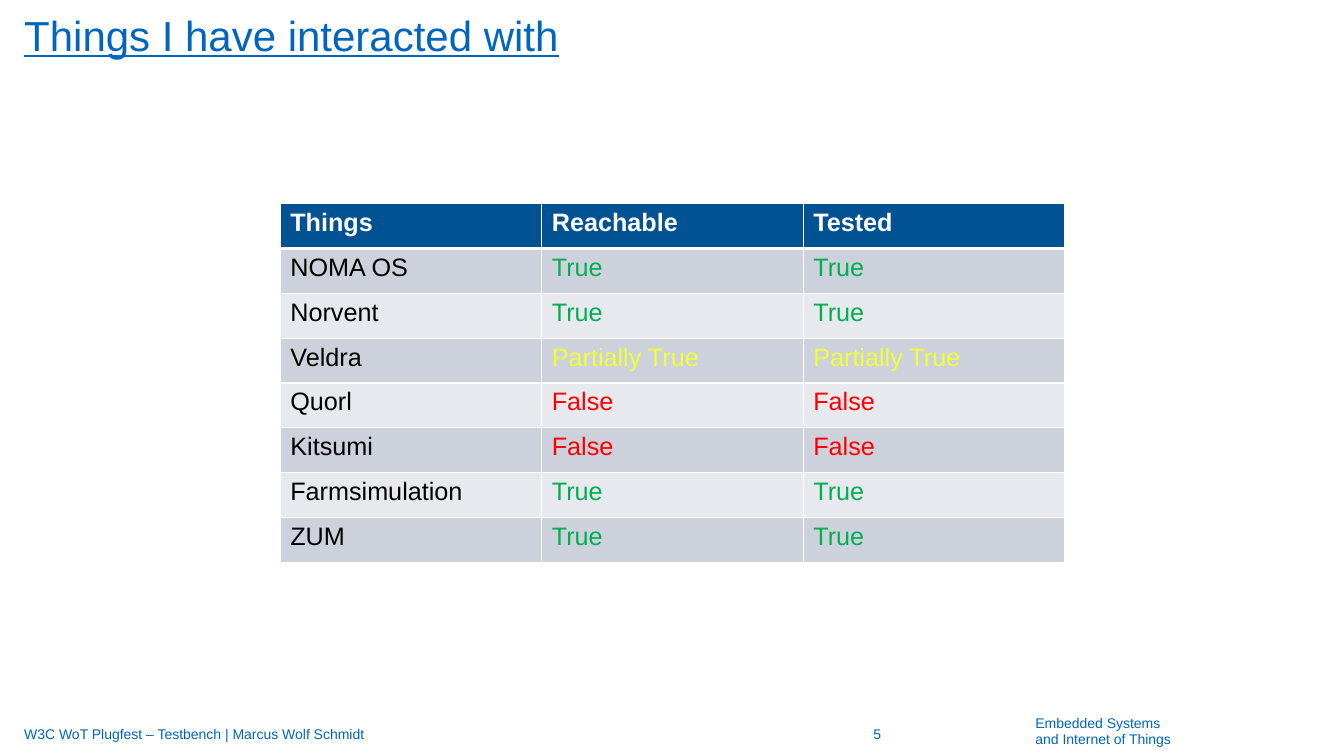
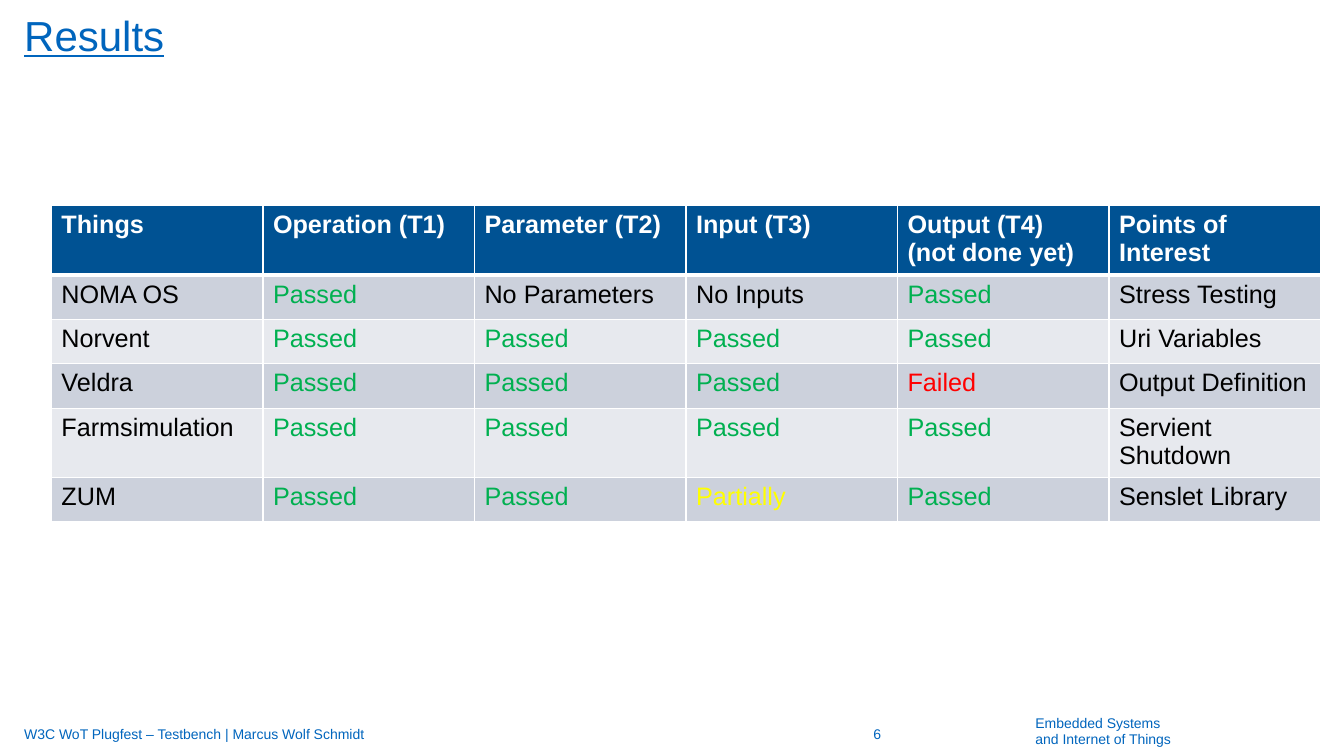
"""Builds two plugfest result slides, each with a title, a status table and a footer."""
from lxml import etree
from pptx import Presentation
from pptx import util as u
from pptx.dml.color import RGBColor
from pptx.enum import text
from pptx.oxml.ns import qn

FONT = "Arial"
BLUE, NAVY, WHITE, BLACK = "0065BD", "005293", "FFFFFF", "000000"
BANDS = ("CCD1DC", "E7E9EE")
GREEN, RED = "00B050", "FF0000"
STATUS = {"True": GREEN, "Passed": GREEN, "False": RED, "Failed": RED,
          "Partially True": "F2FF35", "Partially": "FFFF00"}
FIRST_NUMBER = 5
FOOTER = "W3C WoT Plugfest – Testbench | Marcus Wolf Schmidt"
GROUP = "Embedded Systems\nand Internet of Things"

SLIDES = [
    {"title": "Things I have interacted with",
     "at": (2.78, 2.02), "width": 7.78, "heights": [0.445] * 8,
     "rows": [
         ("Things", "Reachable", "Tested"),
         ("NOMA OS", "True", "True"),
         ("Norvent", "True", "True"),
         ("Veldra", "Partially True", "Partially True"),
         ("Quorl", "False", "False"),
         ("Kitsumi", "False", "False"),
         ("Farmsimulation", "True", "True"),
         ("ZUM", "True", "True")]},
    {"title": "Results",
     "at": (0.51, 2.04), "width": 12.59,
     "heights": [0.69, 0.44, 0.44, 0.44, 0.69, 0.44],
     "rows": [
         ("Things", "Operation (T1)", "Parameter (T2)", "Input (T3)",
          "Output (T4)\n(not done yet)", "Points of Interest"),
         ("NOMA OS", "Passed", "No Parameters", "No Inputs", "Passed", "Stress Testing"),
         ("Norvent", "Passed", "Passed", "Passed", "Passed", "Uri Variables"),
         ("Veldra", "Passed", "Passed", "Passed", "Failed", "Output Definition"),
         ("Farmsimulation", "Passed", "Passed", "Passed", "Passed", "Servient Shutdown"),
         ("ZUM", "Passed", "Passed", "Partially", "Passed", "Senslet Library")]},
]


def rgb(value):
    return RGBColor.from_string(value)


def put(tf, content, size=10, color=BLUE, bold=False, underline=False,
        align=text.PP_ALIGN.LEFT, spacing=None, after=None):
    for i, line in enumerate(content.split("\n")):
        p = tf.add_paragraph() if i else tf.paragraphs[0]
        p.alignment = align
        if spacing is not None:
            p.line_spacing = spacing
        if after is not None:
            p.space_after = u.Pt(after)
        r = p.add_run()
        r.text = line
        r.font.name, r.font.size = FONT, u.Pt(size)
        r.font.bold, r.font.underline = bold, underline
        r.font.color.rgb = rgb(color)


def frame(sp, pad=0, anchor=text.MSO_ANCHOR.TOP):
    tf = sp.text_frame
    tf.word_wrap = True
    tf.auto_size = text.MSO_AUTO_SIZE.NONE
    tf.vertical_anchor = anchor
    tf.margin_left = tf.margin_right = 0
    tf.margin_top = tf.margin_bottom = u.Inches(pad)
    return tf


def add_title(s, title):
    sp = s.shapes.title
    sp.left, sp.top, sp.width, sp.height = map(u.Inches, (0.24, 0.15, 12.41, 0.45))
    put(frame(sp), title, size=30, underline=True, spacing=u.Pt(32))


def add_footer(s, number):
    group = s.shapes.add_textbox(*map(u.Inches, (10.27, 7.1, 2.16, 0.32)))
    put(frame(group), GROUP, spacing=0.94)
    for left, width, content, align in (
            (8.08, 1.24, str(number), text.PP_ALIGN.CENTER),
            (0.24, 7.62, FOOTER, text.PP_ALIGN.LEFT)):
        sp = s.shapes.add_textbox(*map(u.Inches, (left, 7.08, width, 0.4)))
        put(frame(sp, 0.05, text.MSO_ANCHOR.MIDDLE), content, align=align, after=6)


def add_borders(cell, **widths):
    tc_pr = cell._tc.get_or_add_tcPr()
    for side in "LRTB":
        ln = etree.SubElement(tc_pr, qn("a:ln" + side), w=str(u.Pt(widths.get(side, 1))))
        fill = etree.SubElement(ln, qn("a:solidFill"))
        etree.SubElement(fill, qn("a:srgbClr"), val=WHITE)


def add_table(s, rows, at, width, heights):
    cols = len(rows[0])
    sp = s.shapes.add_table(len(rows), cols, *map(u.Inches, (*at, width, sum(heights))))
    table = sp.table
    for column in table.columns:
        column.width = u.Inches(width / cols)
    for i, (row, height) in enumerate(zip(rows, heights)):
        table.rows[i].height = u.Inches(height)
        header = i == 0
        for j, content in enumerate(row):
            cell = table.cell(i, j)
            add_borders(cell, T=3 if i == 1 else 1, B=3 if header else 1)
            cell.fill.solid()
            cell.fill.fore_color.rgb = rgb(NAVY if header else BANDS[(i - 1) % 2])
            color = WHITE if header else STATUS.get(content, BLACK)
            put(cell.text_frame, content, size=18, color=color, bold=header)


def main():
    prs = Presentation()
    prs.slide_width, prs.slide_height = u.Inches(13.33), u.Inches(7.5)
    for number, data in enumerate(SLIDES, FIRST_NUMBER):
        s = prs.slides.add_slide(prs.slide_layouts[5])
        add_footer(s, number)
        add_title(s, data["title"])
        add_table(s, data["rows"], data["at"], data["width"], data["heights"])
    prs.save("out.pptx")


if __name__ == "__main__":
    main()
